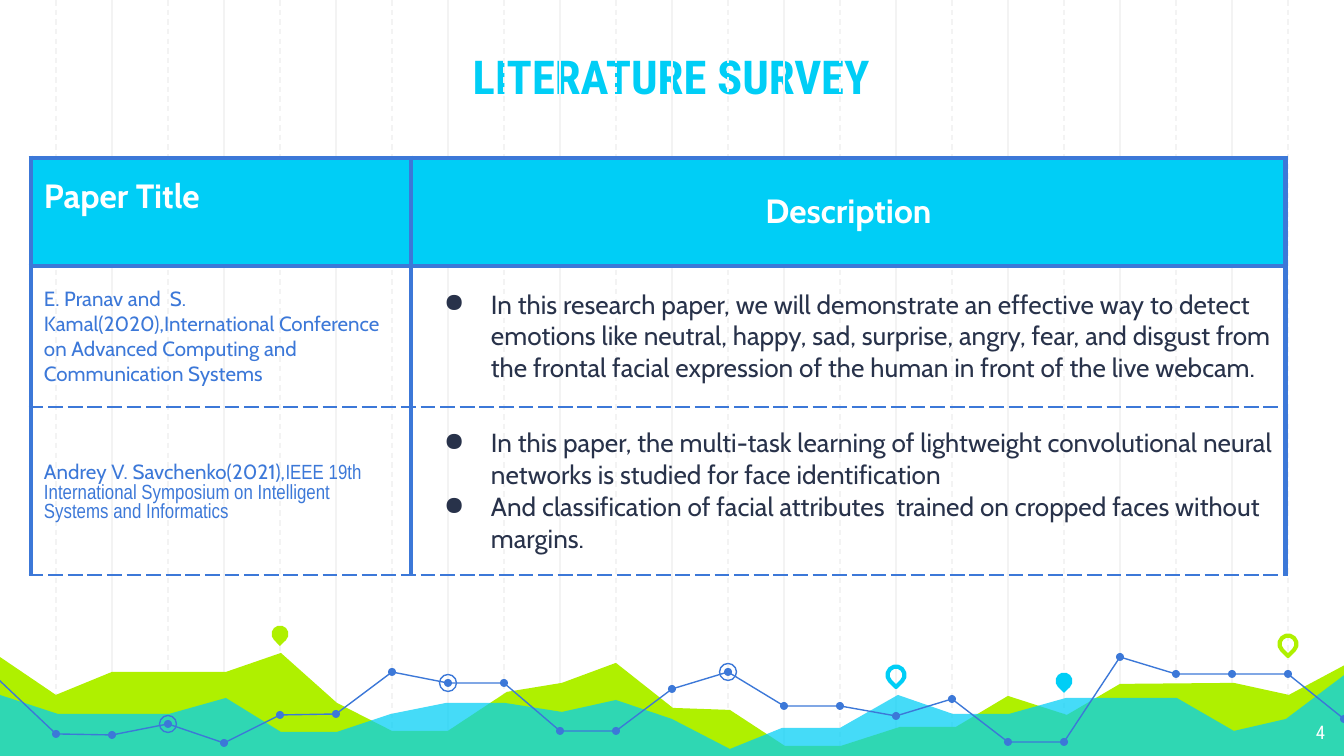
from lxml import etree
from pptx import Presentation
from pptx import util as u
from pptx.dml.color import RGBColor
from pptx.enum import dml, shapes, text
from pptx.oxml import ns, xmlchemy

PX = 914400 / 134.4
CYAN, LIME, BLUE, NAVY = "00CEF6", "AFF000", "3C78D8", "28324A"
WHITE, PALE = "FFFFFF", "F3F3F3"
STEP = 56

LIME_HILLS = [
    (-3, 15), (56, 55), (112, 32), (226, 32), (281, 13), (337, 63), (392, 91), (448, 91),
    (507, 52), (562, 43), (616, 23), (673, 68), (730, 70), (785, 106), (841, 106), (900, 87),
    (956, 87), (1008, 56), (1067, 75), (1120, 44), (1234, 43), (1289, 55), (1347, 24),
    (1345, 118), (-4, 118),
]
CYAN_HILLS = [
    (-3, 54), (58, 74), (169, 74), (226, 58), (281, 92), (337, 92), (391, 74), (446, 63),
    (505, 63), (562, 72), (616, 60), (672, 79), (730, 109), (782, 88), (840, 88), (898, 55),
    (953, 74), (1009, 74), (1066, 58), (1177, 58), (1234, 91), (1286, 79), (1347, 33),
    (1347, 119), (-4, 119),
]
TREND = [94, 95, 84, 103, 75, 74, 32, 43, 43, 91, 91, 49, 32, 66, 66, 76, 59, 102, 102,
         17, 34, 34, 34, 79]
RINGED = [3, 8, 13]
PINS = [(280, -6, LIME, True), (896, 35, CYAN, False), (1064, 41, CYAN, True), (1288, 4, LIME, False)]

HEADERS = ["Paper Title", "Description"]
PAPERS = [
    ([("E. Pranav and  S. Kamal(2020),International Conference on Advanced Computing and "
       "Communication Systems", "Cabin")],
     ["In this research paper, we will demonstrate an effective way to detect emotions like "
      "neutral, happy, sad, surprise, angry, fear, and disgust from the frontal facial "
      "expression of the human in front of the live webcam."]),
    ([("Andrey V. Savchenko(2021),", "Cabin"),
      ("IEEE 19th International Symposium on Intelligent Systems and Informatics", "Arial Narrow")],
     ["In this paper, the multi-task learning of lightweight convolutional neural networks is "
      "studied for face identification",
      "And classification of facial attributes  trained on cropped faces without margins."]),
]


def px(value):
    return u.Emu(round(value * PX))


def rgb(color):
    return RGBColor.from_string(color)


def add_span(para, words, size, font, color, bold=False):
    span = para.add_run()
    span.text = words
    span.font.size = u.Pt(size)
    span.font.name = font
    span.font.bold = bold
    span.font.color.rgb = rgb(color)


def set_insets(frame, x, y):
    frame.margin_left = frame.margin_right = px(x)
    frame.margin_top = frame.margin_bottom = px(y)


def paint(shape, fill=None, line=None, width=0.75):
    shape.shadow.inherit = False
    if fill:
        shape.fill.solid()
        shape.fill.fore_color.rgb = rgb(fill)
    else:
        shape.fill.background()
    if line:
        shape.line.color.rgb = rgb(line)
        shape.line.width = u.Pt(width)
    else:
        shape.line.fill.background()


def add_outline(page, points, left, top, close):
    moved = [(px(left + x), px(top + y)) for x, y in points]
    builder = page.shapes.build_freeform(*moved[0], scale=1.0)
    builder.add_line_segments(moved[1:], close=close)
    return builder.convert_to_shape()


def add_centred(page, kind, x, y, size):
    return page.shapes.add_shape(kind, px(x - size / 2), px(y - size / 2), px(size), px(size))


def add_grid(page, left, top, width, height):
    for column in range(1, width // STEP):
        x = px(left + column * STEP)
        line = page.shapes.add_connector(shapes.MSO_CONNECTOR.STRAIGHT, x, px(top), x, px(top + height))
        line.line.color.rgb = rgb(PALE)
        line.line.width = u.Pt(0.75)
        if column % 2:
            line.line.dash_style = dml.MSO_LINE.DASH
        etree.SubElement(line.element.spPr, ns.qn("a:effectLst"))


def add_landscape(page, left, top):
    paint(add_outline(page, LIME_HILLS, left, top, True), LIME)
    front = add_outline(page, CYAN_HILLS, left, top, True)
    paint(front, CYAN)
    color = front.element.spPr.find(".//" + ns.qn("a:srgbClr"))
    etree.SubElement(color, ns.qn("a:alpha"), val="73000")

    for x, y, hue, solid in PINS:
        pin = add_centred(page, shapes.MSO_SHAPE.TEAR, left + x, top + y, 17)
        pin.rotation = 135
        paint(pin, hue if solid else None, None if solid else hue, 2.25)

    dots = [(STEP * i, y) for i, y in enumerate(TREND, 1)]
    paint(add_outline(page, [(-1, 40)] + dots, left, top, False), line=BLUE)
    for x, y in dots:
        paint(add_centred(page, shapes.MSO_SHAPE.OVAL, left + x, top + y, 8), BLUE)
    for number in RINGED:
        x, y = dots[number - 1]
        paint(add_centred(page, shapes.MSO_SHAPE.OVAL, left + x, top + y, 17), line=BLUE)


def add_title(page, left, top, width, height):
    title = page.shapes.title
    title.left, title.top, title.width, title.height = map(px, (left, top, width, height))
    frame = title.text_frame
    set_insets(frame, 13, 13)
    frame.vertical_anchor = text.MSO_ANCHOR.BOTTOM
    para = frame.paragraphs[0]
    para.alignment = text.PP_ALIGN.CENTER
    add_span(para, "LITERATURE SURVEY", 25, "Roboto Condensed", CYAN, True)


def set_borders(cell, dashed):
    props = cell._tc.get_or_add_tcPr()
    for index, side in enumerate("LRTB"):
        thin = side in dashed
        line = xmlchemy.OxmlElement(f"a:ln{side}")
        line.set("w", str(u.Pt(0.75 if thin else 3)))
        fill = etree.SubElement(line, ns.qn("a:solidFill"))
        etree.SubElement(fill, ns.qn("a:srgbClr"), val=BLUE)
        etree.SubElement(line, ns.qn("a:prstDash"), val="dash" if thin else "solid")
        props.insert(index, line)


def add_bullet(para):
    props = para._p.get_or_add_pPr()
    props.set("marL", str(px(67)))
    props.set("indent", str(px(-47)))
    color = etree.SubElement(props, ns.qn("a:buClr"))
    etree.SubElement(color, ns.qn("a:srgbClr"), val=NAVY)
    etree.SubElement(props, ns.qn("a:buChar"), char="●")


def style_cell(cell, fill, dashed):
    set_insets(cell, 13, 9)
    cell.vertical_anchor = text.MSO_ANCHOR.MIDDLE
    if fill:
        cell.fill.solid()
        cell.fill.fore_color.rgb = rgb(fill)
    else:
        cell.fill.background()
    set_borders(cell, dashed)


def add_survey(page, left, top, widths, heights):
    table = page.shapes.add_table(len(heights), len(widths), px(left), px(top),
                                  px(sum(widths)), px(sum(heights))).table
    table.first_row = table.horz_banding = False
    for column, width in zip(table.columns, widths):
        column.width = px(width)
    for row, height in zip(table.rows, heights):
        row.height = px(height)

    for column, words in enumerate(HEADERS):
        cell = table.cell(0, column)
        style_cell(cell, CYAN, "")
        add_span(cell.text_frame.paragraphs[0], words, 18, "Cabin", WHITE, True)
    table.cell(0, 0).vertical_anchor = text.MSO_ANCHOR.TOP
    table.cell(0, 0).margin_top = px(18)
    table.cell(0, 1).text_frame.paragraphs[0].alignment = text.PP_ALIGN.CENTER

    for row, (source, points) in enumerate(PAPERS, 1):
        paper, description = table.cell(row, 0), table.cell(row, 1)
        for cell in (paper, description):
            style_cell(cell, None, "B" if row == 1 else "TB")
        for words, font in source:
            add_span(paper.text_frame.paragraphs[0], words, 11, font, BLUE)
        frame = description.text_frame
        for index, words in enumerate(points):
            para = frame.add_paragraph() if index else frame.paragraphs[0]
            add_bullet(para)
            add_span(para, words, 14, "Cabin", NAVY)


def add_page_number(page, left, top, width, height):
    box = page.shapes.add_textbox(*map(px, (left, top, width, height)))
    frame = box.text_frame
    frame.word_wrap = True
    set_insets(frame, 13, 13)
    para = frame.paragraphs[0]
    para.alignment = text.PP_ALIGN.RIGHT
    add_span(para, "4", 10, "Roboto Condensed", WHITE)


def main():
    deck = Presentation()
    deck.slide_width, deck.slide_height = px(1344), px(756)
    page = deck.slides.add_slide(deck.slide_layouts[5])
    add_grid(page, 0, 0, 1344, 756)
    add_landscape(page, 0, 640)
    add_title(page, 157, 12, 1028, 105)
    add_survey(page, 31, 158, [380, 875], [108, 141, 168])
    add_page_number(page, 1258, 710, 80, 47)
    deck.save("out.pptx")


if __name__ == "__main__":
    main()
